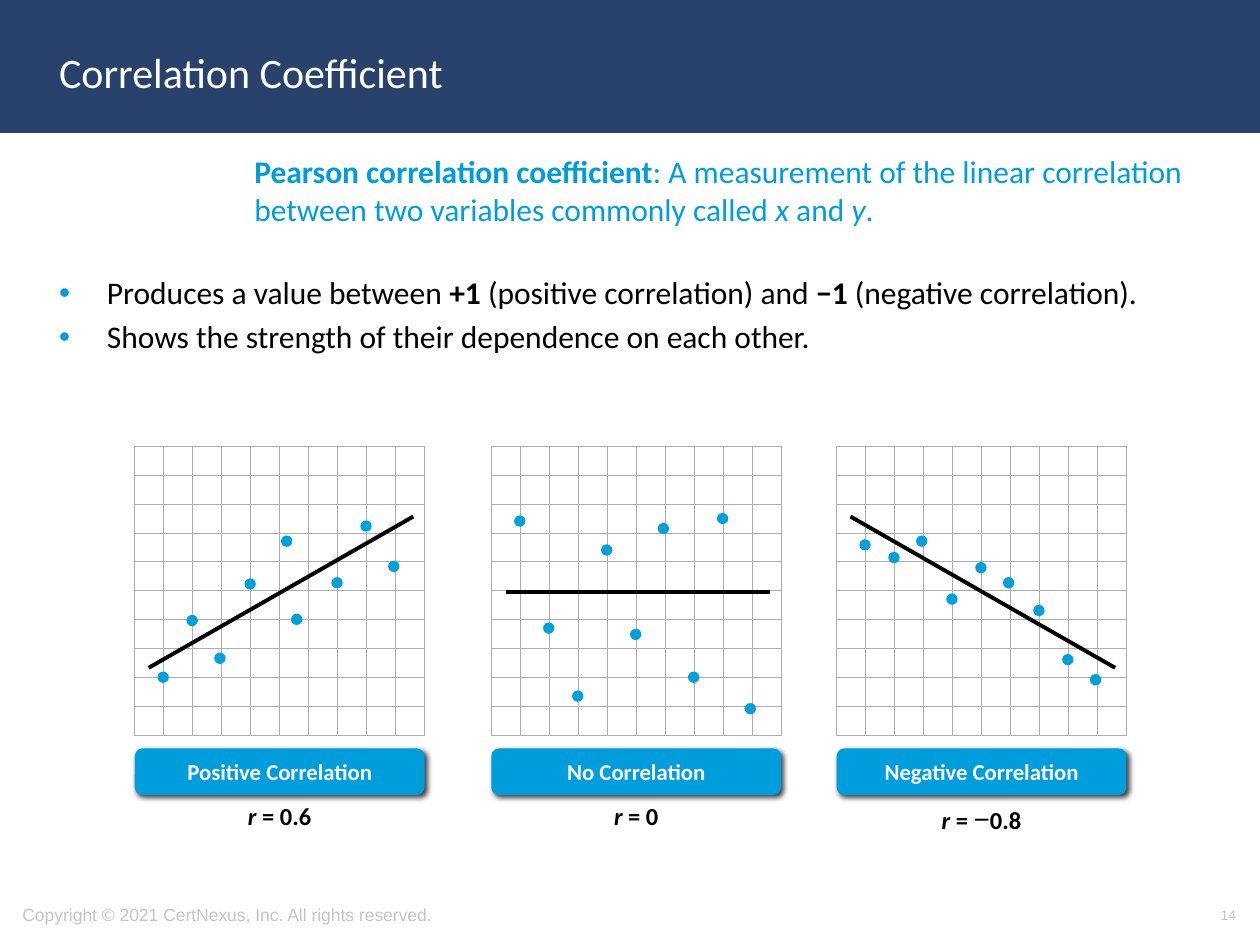
from dataclasses import dataclass

from lxml.etree import SubElement
from pptx import Presentation
from pptx.dml.color import RGBColor
from pptx.enum.shapes import MSO_CONNECTOR, MSO_SHAPE
from pptx.enum.text import MSO_ANCHOR, PP_ALIGN
from pptx.oxml.ns import qn
from pptx.util import Inches, Pt


@dataclass(frozen=True)
class Theme:
    navy: str = "28426C"
    blue: str = "009DDC"
    dot: str = "00A0DD"
    grid: str = "ADADAD"
    muted: str = "C4C4C4"
    black: str = "000000"
    white: str = "FFFFFF"
    body_font: str = "Calibri"
    footer_font: str = "Arial"
    title_size: float = 24
    body_size: float = 18
    value_size: float = 14
    minus_size: float = 16
    label_size: float = 13
    footer_size: float = 10
    number_size: float = 8
    bullet_gap: float = 3.6
    grid_width: float = 0.5
    trend_width: float = 2.25


class SlideBuilder:
    def __init__(self, slide, theme):
        self.slide = slide
        self.theme = theme

    def fill_paragraph(self, paragraph, runs, size, color, font=None,
                       align=PP_ALIGN.LEFT):
        paragraph.alignment = align
        paragraph.font.size = Pt(size)
        paragraph.font.name = font or self.theme.body_font
        paragraph.font.color.rgb = RGBColor.from_string(color)
        for text, style in runs:
            run = paragraph.add_run()
            run.text = text
            if "b" in style:
                run.font.bold = True
            if "i" in style:
                run.font.italic = True
            if "m" in style:
                run.font.size = Pt(self.theme.minus_size)
                run.font.name = self.theme.footer_font

    def text_frame(self, box, anchor=MSO_ANCHOR.TOP):
        frame = self.slide.shapes.add_textbox(*map(Inches, box)).text_frame
        frame.word_wrap = True
        frame.vertical_anchor = anchor
        return frame

    def text(self, box, runs, size, color, anchor=MSO_ANCHOR.TOP, **options):
        frame = self.text_frame(box, anchor)
        self.fill_paragraph(frame.paragraphs[0], runs, size, color, **options)

    def bullets(self, box, items):
        frame = self.text_frame(box)
        for index, runs in enumerate(items):
            paragraph = frame.add_paragraph() if index else frame.paragraphs[0]
            properties = paragraph._p.get_or_add_pPr()
            properties.set("marL", str(Inches(0.38)))
            properties.set("indent", str(-Inches(0.38)))
            bullet_color = SubElement(properties, qn("a:buClr"))
            SubElement(bullet_color, qn("a:srgbClr"), val=self.theme.blue)
            SubElement(properties, qn("a:buFont"), typeface="Arial")
            SubElement(properties, qn("a:buChar"), char="•")
            if index:
                paragraph.space_before = Pt(self.theme.bullet_gap)
            self.fill_paragraph(paragraph, runs, self.theme.body_size,
                                self.theme.black)

    def shape(self, shapes, kind, box, fill):
        shape = shapes.add_shape(kind, *map(Inches, box))
        shape.shadow.inherit = False
        shape.fill.solid()
        shape.fill.fore_color.rgb = RGBColor.from_string(fill)
        shape.line.fill.background()
        return shape

    def header(self, box):
        band = self.shape(self.slide.shapes, MSO_SHAPE.RECTANGLE, box, self.theme.navy)
        band.line.color.rgb = RGBColor.from_string(self.theme.navy)
        band.line.width = Pt(2)

    def line(self, shapes, start, end, color, width):
        connector = shapes.add_connector(
            MSO_CONNECTOR.STRAIGHT, *map(Inches, (*start, *end)))
        connector.line.color.rgb = RGBColor.from_string(color)
        connector.line.width = Pt(width)
        SubElement(connector._element.spPr, qn("a:effectLst"))

    def label(self, box, text):
        label = self.shape(
            self.slide.shapes, MSO_SHAPE.ROUNDED_RECTANGLE, box, self.theme.blue)
        effects = label._element.spPr.find(qn("a:effectLst"))
        shadow = SubElement(effects, qn("a:outerShdw"), blurRad=str(Pt(3)),
                            dist=str(Pt(2)), dir=str(45 * 60000),
                            algn="tl", rotWithShape="0")
        color = SubElement(shadow, qn("a:srgbClr"), val=self.theme.black)
        SubElement(color, qn("a:alpha"), val="75000")
        label.text_frame.vertical_anchor = MSO_ANCHOR.MIDDLE
        self.fill_paragraph(label.text_frame.paragraphs[0], [(text, "b")],
                            self.theme.label_size, self.theme.white,
                            align=PP_ALIGN.CENTER)

    def scatter(self, left, top, side, trend, points, cells=10, dot=0.09):
        shapes = self.slide.shapes.add_group_shape().shapes
        right, bottom = left + side, top + side
        grid = self.theme.grid, self.theme.grid_width
        for index in range(cells + 1):
            offset = index * side / cells
            self.line(shapes, (left + offset, top), (left + offset, bottom), *grid)
            self.line(shapes, (left, top + offset), (right, top + offset), *grid)
        start, end = [(left + x, top + y) for x, y in trend]
        self.line(shapes, start, end, self.theme.black, self.theme.trend_width)
        for x, y in points:
            self.shape(shapes, MSO_SHAPE.OVAL, (left + x, top + y, dot, dot),
                       self.theme.dot)


PLOT_TOP = 3.54
PLOT_SIDE = 2.3
PLOTS = [
    (1.07, "Positive Correlation", [("r", "bi"), (" = 0.6", "b")],
     [(0.11, 1.76), (2.21, 0.56)],
     [(0.18, 1.79), (0.41, 1.34), (0.63, 1.64), (0.87, 1.05), (1.16, 0.71),
      (1.24, 1.33), (1.56, 1.04), (1.79, 0.59), (2.01, 0.91)]),
    (3.9, "No Correlation", [("r", "bi"), (" = 0", "b")],
     [(0.12, 1.16), (2.21, 1.16)],
     [(0.18, 0.55), (0.41, 1.4), (0.64, 1.94), (0.87, 0.78), (1.1, 1.45),
      (1.32, 0.61), (1.56, 1.79), (1.79, 0.53), (2.01, 2.04)]),
    (6.64, "Negative Correlation",
     [("r", "bi"), (" = ", "b"), ("−", "m"), ("0.8", "b")],
     [(0.11, 0.56), (2.21, 1.76)],
     [(0.18, 0.74), (0.41, 0.84), (0.63, 0.71), (0.87, 1.17), (1.1, 0.92),
      (1.32, 1.04), (1.56, 1.26), (1.79, 1.65), (2.01, 1.81)]),
]


def main():
    presentation = Presentation()
    presentation.slide_width = Inches(10)
    presentation.slide_height = Inches(7.5)
    slide = presentation.slides.add_slide(presentation.slide_layouts[6])
    theme = Theme()
    builder = SlideBuilder(slide, theme)

    builder.header((0, 0, 10, 1.04))
    builder.text((0.37, 0.11, 8.62, 0.92), [("Correlation Coefficient", "")],
                 theme.title_size, theme.white, MSO_ANCHOR.MIDDLE)
    builder.text((1.92, 1.16, 7.58, 0.83), [
        ("Pearson correlation coefficient", "b"),
        (": A measurement of the linear correlation between two variables "
         "commonly called ", ""),
        ("x", "i"), (" and ", ""), ("y", "i"), (".", ""),
    ], theme.body_size, theme.blue)
    builder.bullets((0.37, 2.12, 9.25, 1.2), [
        [("Produces a value between ", ""), ("+1", "b"),
         (" (positive correlation) and ", ""), ("−1", "b"),
         (" (negative correlation).", "")],
        [("Shows the strength of their dependence on each other.", "")],
    ])

    for left, name, value, trend, points in PLOTS:
        builder.scatter(left, PLOT_TOP, PLOT_SIDE, trend, points)
        builder.label((left, 5.94, PLOT_SIDE, 0.37), name)
        builder.text((left, 6.31, PLOT_SIDE, 0.34), value, theme.value_size,
                     theme.black, align=PP_ALIGN.CENTER)

    builder.text((0.08, 7.06, 5.27, 0.4),
                 [("Copyright © 2021 CertNexus, Inc. All rights reserved.", "")],
                 theme.footer_size, theme.muted, MSO_ANCHOR.MIDDLE,
                 font=theme.footer_font)
    builder.text((7.58, 7.06, 2.33, 0.4), [("14", "")], theme.number_size,
                 theme.muted, MSO_ANCHOR.MIDDLE, font=theme.footer_font,
                 align=PP_ALIGN.RIGHT)
    presentation.save("out.pptx")


if __name__ == "__main__":
    main()
